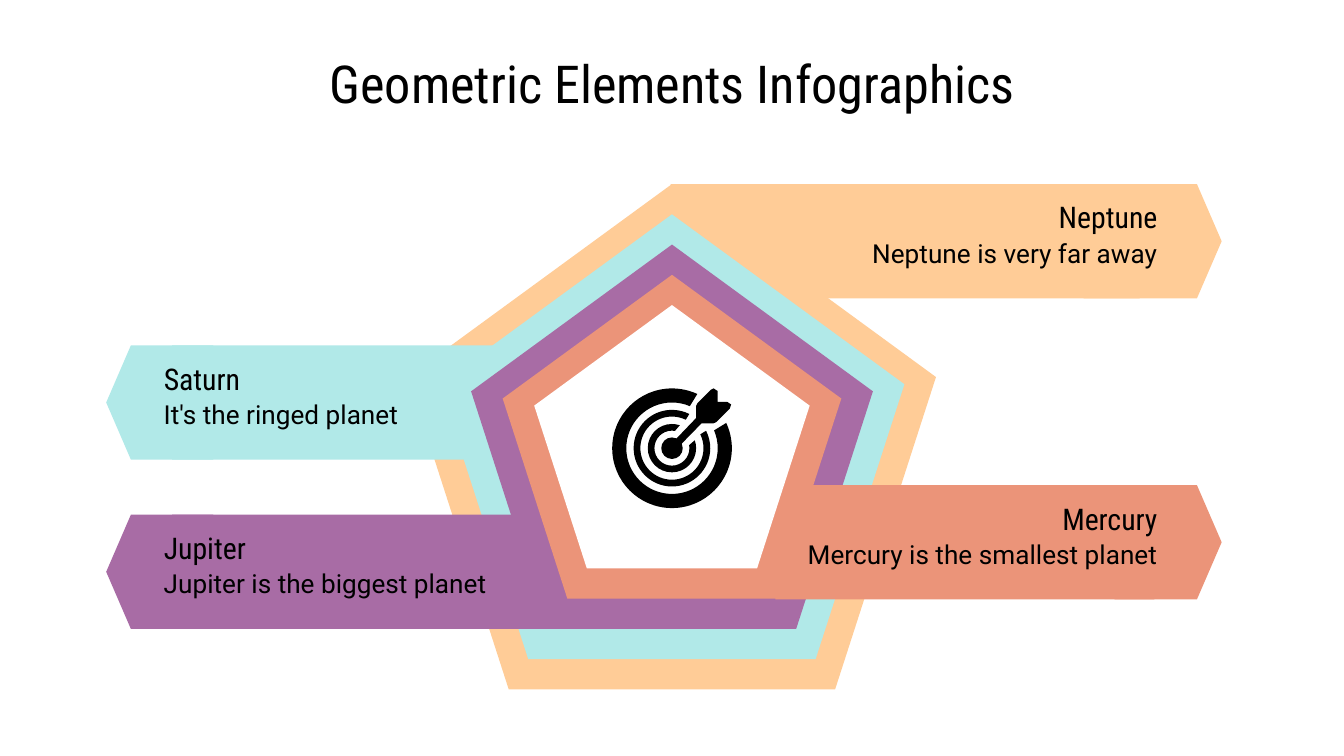
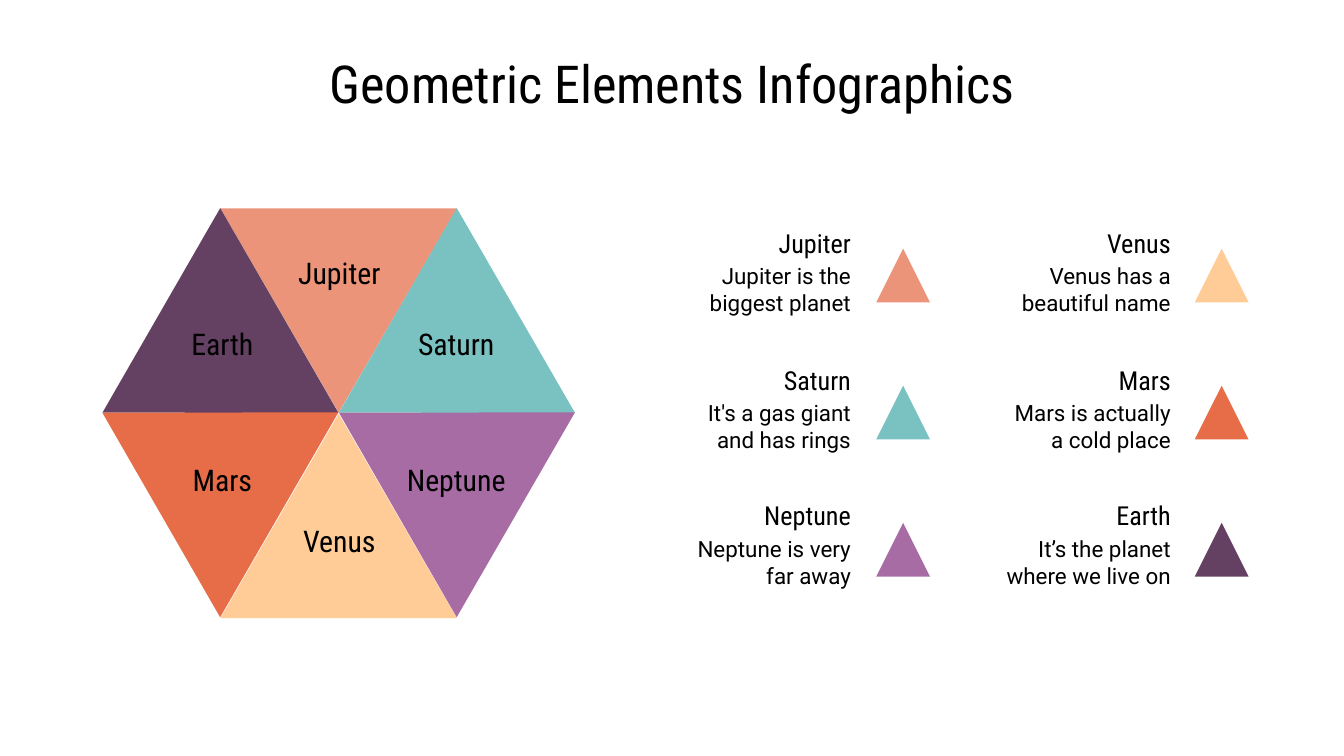
import math

import lxml.etree
import pptx
import pptx.dml.color
import pptx.enum.shapes
import pptx.enum.text
import pptx.oxml.ns
import pptx.util

Inches = pptx.util.Inches
SHAPE = pptx.enum.shapes.MSO_SHAPE
ALIGN = pptx.enum.text.PP_ALIGN
ANCHOR = pptx.enum.text.MSO_ANCHOR

INK = "000000"
WHITE = "FFFFFF"
PEACH = "FFCC97"
SKY = "B1E9E8"
PLUM = "A86CA5"
CORAL = "EB9479"
TEAL = "79C2C1"
GRAPE = "644162"
RUST = "E76D48"


def shade(code):
    return pptx.dml.color.RGBColor.from_string(code)


class Deck:
    head = "Roboto Condensed"
    body = "Roboto"

    def __init__(self):
        self.file = pptx.Presentation()
        self.file.slide_width = Inches(10)
        self.file.slide_height = Inches(5.625)
        self.slide = None

    def page(self, title):
        self.slide = self.file.slides.add_slide(self.file.slide_layouts[6])
        self.text(title, 0.39, 0.28, 9.22, 0.63, 28, self.head, ALIGN.CENTER, ANCHOR.TOP)

    def text(self, words, left, top, width, height, size, font, align, anchor=ANCHOR.MIDDLE):
        box = self.slide.shapes.add_textbox(Inches(left), Inches(top), Inches(width), Inches(height))
        frame = box.text_frame
        frame.word_wrap = True
        frame.vertical_anchor = anchor
        frame.margin_left = frame.margin_right = Inches(0.1)
        frame.margin_top = frame.margin_bottom = Inches(0.1)
        para = frame.paragraphs[0]
        para.alignment = align
        run = para.add_run()
        run.text = words
        run.font.size = pptx.util.Pt(size)
        run.font.name = font
        run.font.color.rgb = shade(INK)

    def paint(self, item, fill):
        item.shadow.inherit = False
        item.fill.solid()
        item.fill.fore_color.rgb = shade(fill)
        item.line.fill.background()

    def shape(self, kind, left, top, width, height, fill, turn=0):
        item = self.slide.shapes.add_shape(
            kind, Inches(left), Inches(top), Inches(width), Inches(height))
        item.rotation = turn
        self.paint(item, fill)
        return item

    def outline(self, points, curves, fill):
        spots = [(Inches(x), Inches(y)) for x, y in points]
        pen = self.slide.shapes.build_freeform(*spots[0])
        pen.add_line_segments(spots[1:], close=True)
        item = pen.convert_to_shape()
        self.paint(item, fill)
        name = pptx.oxml.ns.qn
        lines = list(item._element.iter(name("a:lnTo")))
        for start in curves:
            bend = lxml.etree.Element(name("a:cubicBezTo"))
            lines[start].addprevious(bend)
            for line in lines[start:start + 3]:
                bend.append(line[0])
                line.getparent().remove(line)


def arc(radius, gap, back=False):
    stops = [math.radians(a) for a in (45 + gap, 90, 180, 270, 360, 405 - gap)]
    if back:
        stops.reverse()

    def spot(angle, pull=0):
        x = math.cos(angle) - pull * math.sin(angle)
        y = math.sin(angle) + pull * math.cos(angle)
        return 5 + radius * x, 3.335 - radius * y

    points = [spot(stops[0])]
    for a, b in zip(stops, stops[1:]):
        pull = 4 / 3 * math.tan((b - a) / 4)
        points += [spot(a, pull), spot(b, -pull), spot(b)]
    return points


def target(deck):
    bends = list(range(0, 15, 3))
    rings = [(0.445, 20, 0.34, 22), (0.285, 18, 0.235, 19), (0.18, 26, 0.13, 35)]
    for outer, wide, inner, thin in rings:
        rim = arc(outer, wide) + arc(inner, thin, True)
        deck.outline(rim, bends + [i + 16 for i in bends], INK)
    dart = [(5.22, 3.15), (5.31, 3.15), (5.33, 3.14), (5.43, 3.04), (5.44, 3.01),
            (5.41, 2.99), (5.34, 2.99), (5.34, 2.91), (5.31, 2.89), (5.29, 2.9),
            (5.19, 3), (5.18, 3.02), (5.18, 3.11)]
    deck.outline(arc(0.08, 20) + dart, bends, INK)


def nest(deck, level, fill):
    width, height = 3.93 - 0.47 * level, 3.76 - 0.45 * level
    deck.shape(SHAPE.REGULAR_PENTAGON, 5 - width / 2, 1.37 + 0.225 * level, width, height, fill)


def band(deck, fill, top, tip, bar):
    point = deck.shape(SHAPE.HEXAGON, tip[0], top, tip[1], 0.85, fill)
    point.adjustments[0] = 0.216
    deck.shape(SHAPE.RECTANGLE, bar[0], top, bar[1], 0.85, fill)


def label(deck, name, note, top, right):
    align = ALIGN.RIGHT if right else ALIGN.LEFT
    for words, drop, width, height, size, font in [
            (note, 0.27, 3.17, 0.48, 14, deck.body),
            (name, 0.11, 1.69, 0.27, 16, deck.head)]:
        left = 8.71 - width if right else 1.12
        deck.text(words, left, top + drop, width, height, size, font, align)


def rings(deck):
    bands = [
        ("Neptune", "Neptune is very far away", PEACH, 1.37, (7.88, 1.21), (4.99, 3.49)),
        ("Saturn", "It's the ringed planet", SKY, 2.57, (0.79, 0.98), (1.28, 2.82)),
        ("Jupiter", "Jupiter is the biggest planet", PLUM, 3.83, (0.79, 0.98), (1.28, 2.82)),
        ("Mercury", "Mercury is the smallest planet", CORAL, 3.61, (8.11, 0.98), (5.77, 2.82)),
    ]
    for level, (name, note, fill, top, tip, bar) in enumerate(bands):
        band(deck, fill, top, tip, bar)
        nest(deck, level, fill)
    nest(deck, len(bands), WHITE)
    for name, note, fill, top, tip, bar in bands:
        label(deck, name, note, top, tip[0] > 5)
    target(deck)


def wheel(deck):
    parts = [
        ("Venus", PEACH, 1.64, 3.08, 0, 1.86, 3.89),
        ("Jupiter", CORAL, 1.64, 1.55, 180, 1.86, 1.89),
        ("Saturn", TEAL, 2.3, 1.93, 240, 2.73, 2.42),
        ("Earth", GRAPE, 0.54, 1.93, 240, 0.99, 2.42),
        ("Mars", RUST, 0.54, 2.69, 300, 0.99, 3.43),
        ("Neptune", PLUM, 2.3, 2.69, 300, 2.73, 3.43),
    ]
    for name, fill, left, top, turn, x, y in parts:
        deck.shape(SHAPE.ISOSCELES_TRIANGLE, left, top, 1.76, 1.52, fill, turn)
    for name, fill, left, top, turn, x, y in parts:
        deck.text(name, x, y, 1.33, 0.27, 16, deck.head, ALIGN.CENTER)


def legend(deck):
    items = [
        ("Jupiter", "Jupiter is the biggest planet", CORAL),
        ("Saturn", "It's a gas giant and has rings", TEAL),
        ("Neptune", "Neptune is very far away", PLUM),
        ("Venus", "Venus has a beautiful name", PEACH),
        ("Mars", "Mars is actually a cold place", RUST),
        ("Earth", "It’s the planet where we live on", GRAPE),
    ]
    tops = [1.67, 2.69, 3.7]
    for i, (name, note, fill) in enumerate(items):
        col, row = divmod(i, 3)
        left = 4.98 + 2.38 * col
        deck.shape(SHAPE.ISOSCELES_TRIANGLE, 6.52 + 2.37 * col, 1.85 + 1.02 * row, 0.4, 0.4, fill)
        deck.text(note, left, tops[row] + 0.24, 1.45, 0.48, 12, deck.body, ALIGN.RIGHT)
        deck.text(name, left, tops[row], 1.45, 0.27, 14, deck.head, ALIGN.RIGHT)


def main():
    deck = Deck()
    title = "Geometric Elements Infographics"
    deck.page(title)
    rings(deck)
    deck.page(title)
    wheel(deck)
    legend(deck)
    deck.file.save("out.pptx")


if __name__ == "__main__":
    main()
